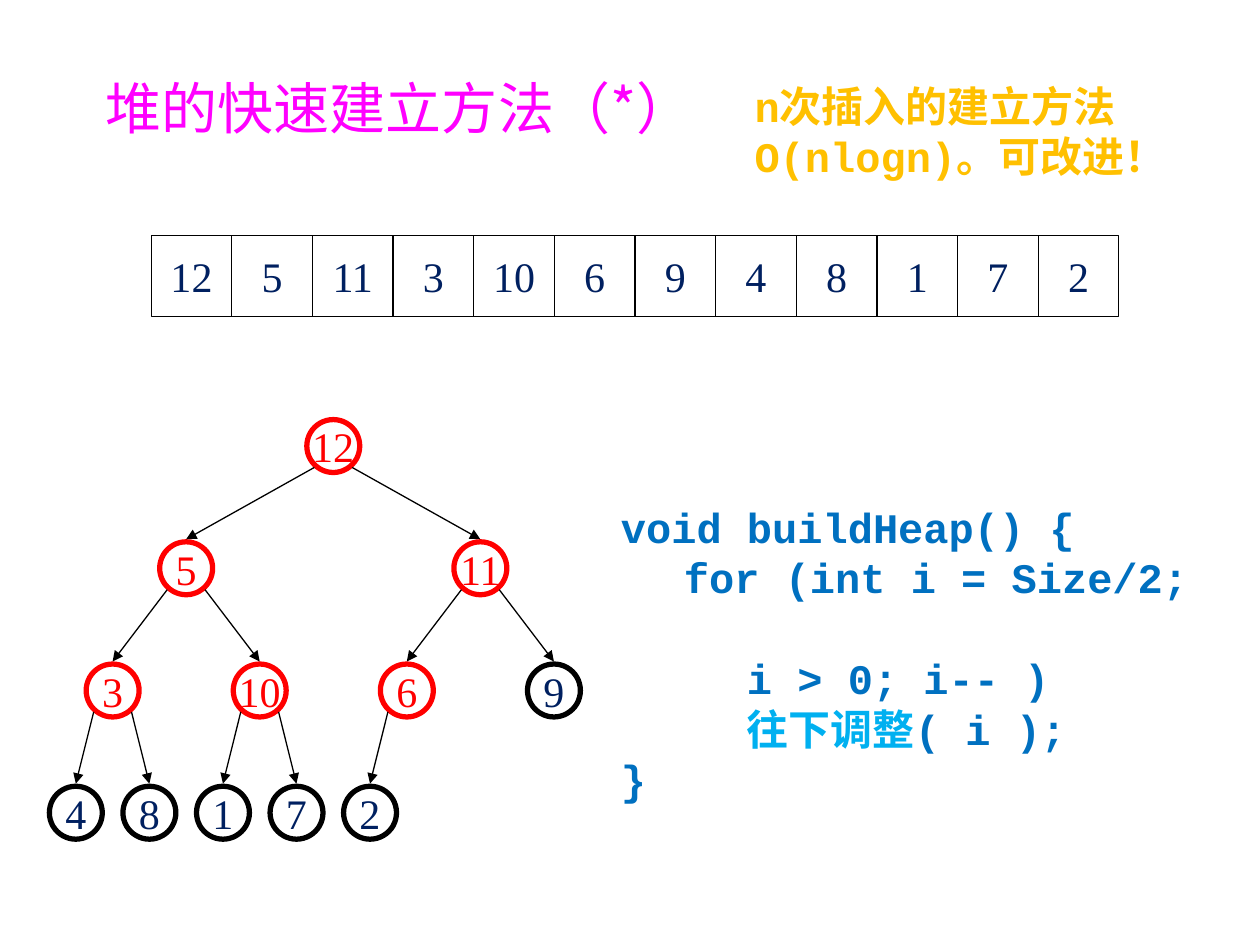
from dataclasses import dataclass

from lxml import etree
from pptx import Presentation
from pptx import util as u
from pptx.dml.color import RGBColor
from pptx.enum import shapes, text
from pptx.oxml.ns import qn


@dataclass(frozen=True)
class Theme:
    heading: str = "FF00FF"
    remark: str = "FFC000"
    number: str = "002060"
    internal: str = "FF0000"
    code: str = "0070C0"
    call: str = "00B0F0"
    outline: str = "000000"
    serif: str = "Times New Roman"
    mono: str = "Courier New"
    cjk: str = "Noto Sans CJK SC"
    heading_size: int = 32
    body_size: int = 24
    thin: float = 0.75
    thick: float = 3


class HeapSlide:
    """Draws styled elements on one slide."""

    def __init__(self, slide, theme):
        self.slide = slide
        self.theme = theme

    def add_run(self, paragraph, words, color, font, size=None, bold=False):
        run = paragraph.add_run()
        run.text = words
        run.font.name = font
        run.font.size = u.Pt(size or self.theme.body_size)
        run.font.bold = bold
        run.font.color.rgb = RGBColor.from_string(color)
        east_asian = etree.Element(qn("a:ea"), typeface=self.theme.cjk)
        run.font._element.find(qn("a:latin")).addnext(east_asian)

    def heading(self, words, left, top, width, height):
        title = self.slide.shapes.title
        title.left, title.top = u.Inches(left), u.Inches(top)
        title.width, title.height = u.Inches(width), u.Inches(height)
        frame = title.text_frame
        frame.vertical_anchor = text.MSO_ANCHOR.TOP
        line = frame.paragraphs[0]
        line.alignment = text.PP_ALIGN.LEFT
        line.line_spacing = 0.9
        self.add_run(line, words, self.theme.heading, self.theme.cjk, self.theme.heading_size)

    def mono_text(self, lines, left, top, width, height):
        box = self.slide.shapes.add_textbox(*map(u.Inches, (left, top, width, height)))
        frame = box.text_frame
        frame.word_wrap = True
        for row, (indent, gap, runs) in enumerate(lines):
            line = frame.add_paragraph() if row else frame.paragraphs[0]
            line.space_before = u.Pt(gap)
            if indent:
                line._p.get_or_add_pPr().set("marL", str(u.Inches(indent)))
            for words, color in runs:
                self.add_run(line, words, color, self.theme.mono, bold=True)

    def number(self, kind, value, left, top, size, outline, weight, color):
        item = self.slide.shapes.add_shape(kind, *map(u.Inches, (left, top, size, size)))
        item.shadow.inherit = False
        item.fill.background()
        item.line.color.rgb = RGBColor.from_string(outline)
        item.line.width = u.Pt(weight)
        frame = item.text_frame
        frame.word_wrap = False
        frame.vertical_anchor = text.MSO_ANCHOR.MIDDLE
        line = frame.paragraphs[0]
        line.alignment = text.PP_ALIGN.CENTER
        self.add_run(line, str(value), color, self.theme.serif)

    def arrow(self, x1, y1, x2, y2):
        edge = self.slide.shapes.add_connector(
            shapes.MSO_CONNECTOR.STRAIGHT, *map(u.Inches, (x1, y1, x2, y2)))
        edge.line.color.rgb = RGBColor.from_string(self.theme.outline)
        edge.line.width = u.Pt(self.theme.thin)
        etree.SubElement(edge.line._get_or_add_ln(), qn("a:tailEnd"), type="triangle")
        etree.SubElement(edge._element.spPr, qn("a:effectLst"))

    def array(self, values, left, top, cell):
        for column, value in enumerate(values):
            self.number(shapes.MSO_SHAPE.RECTANGLE, value, left + column * cell, top, cell,
                        self.theme.outline, self.theme.thin, self.theme.number)

    def tree(self, values, left, top, width, step, size):
        def center(index):
            depth = index.bit_length() - 1
            column = index - 2 ** depth
            return left + width / 2 ** depth * (column + 0.5), top + depth * step

        for index, value in enumerate(values, 1):
            x, y = center(index)
            internal = 2 * index <= len(values)
            outline = self.theme.internal if internal else self.theme.outline
            color = self.theme.internal if internal else self.theme.number
            self.number(shapes.MSO_SHAPE.OVAL, value, x - size / 2, y - size / 2, size,
                        outline, self.theme.thick, color)
        for child in range(2, len(values) + 1):
            x1, y1 = center(child // 2)
            x2, y2 = center(child)
            side = 0.15 if child % 2 else -0.15
            self.arrow(x1 + side, y1 + 0.17, x2, y2 - 0.23)


def main():
    deck = Presentation()
    deck.slide_width, deck.slide_height = u.Inches(10), u.Inches(7.5)
    theme = Theme()
    page = HeapSlide(deck.slides.add_slide(deck.slide_layouts[5]), theme)
    heap = [12, 5, 11, 3, 10, 6, 9, 4, 8, 1, 7, 2]

    page.heading("堆的快速建立方法（*）", 0.74, 0.59, 7.19, 1.15)
    page.array(heap, left=1.2, top=1.87, cell=0.64)
    page.tree(heap, left=0.31, top=3.54, width=4.67, step=0.97, size=0.42)
    build_heap = [
        (0, 0, [("void buildHeap() {", theme.code)]),
        (0.5, 0, [("for (int i = Size/2;", theme.code)]),
        (1, 29, [("i > 0; i-- )", theme.code)]),
        (1, 0, [("往下调整", theme.call), ("( i );", theme.code)]),
        (0, 0, [("}", theme.code)]),
    ]
    page.mono_text(build_heap, 4.83, 3.93, 4.84, 2.12)
    remark = [(0, 0, [("n次插入的建立方法O(nlogn)。可改进！", theme.remark)])]
    page.mono_text(remark, 5.89, 0.59, 3.67, 0.91)
    deck.save("out.pptx")


if __name__ == "__main__":
    main()
